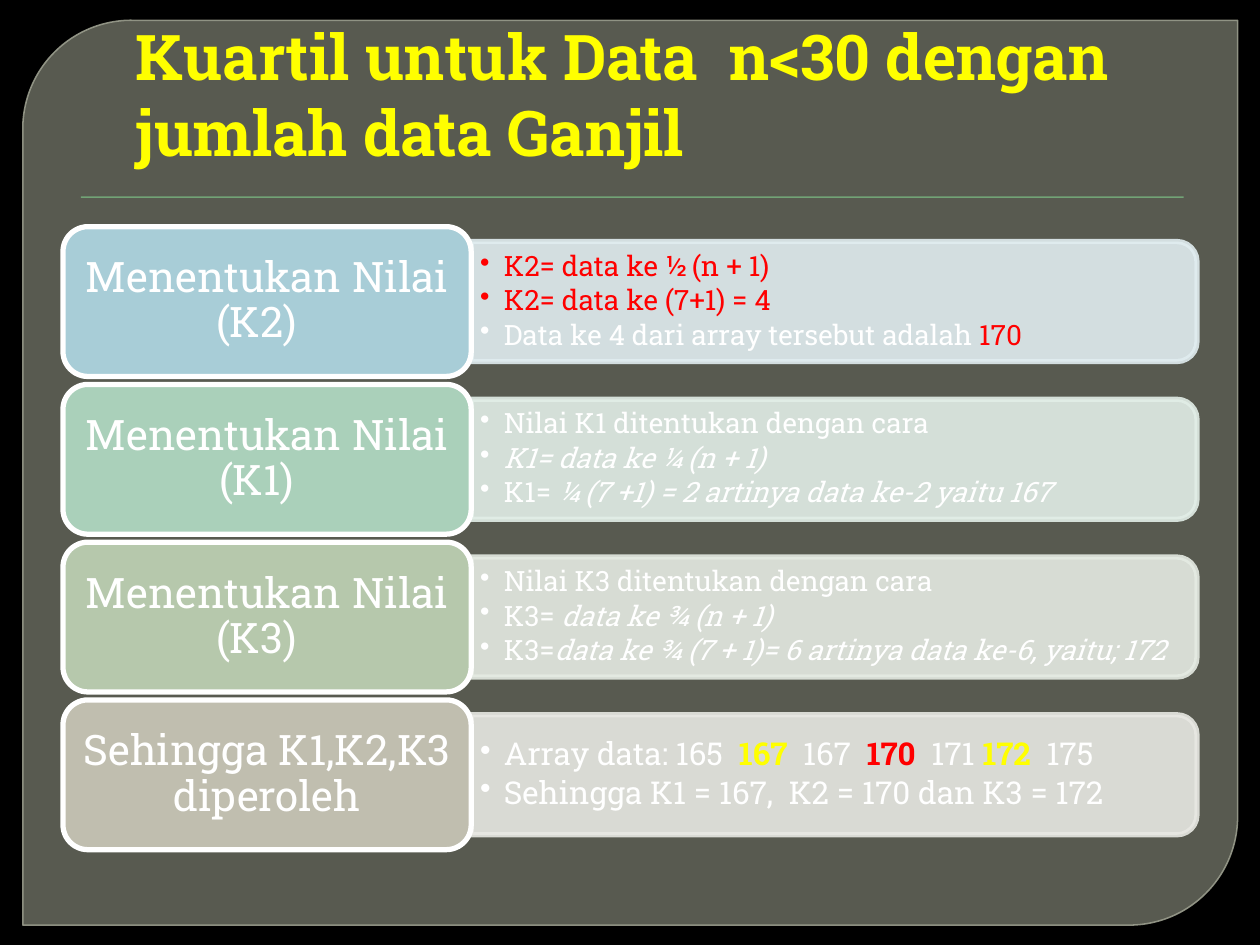
"""Builds a slide on finding quartiles for a small data set with an odd count."""
from dataclasses import dataclass

from lxml import etree
from pptx import Presentation
from pptx import util as u
from pptx.dml.color import RGBColor
from pptx.enum import shapes, text
from pptx.oxml.ns import qn


@dataclass(frozen=True)
class Theme:
    font: str = "Roboto Slab"
    backdrop: str = "000000"
    panel: str = "888B7B"
    panel_edge: str = "9DA090"
    rule: str = "72A376"
    white: str = "FFFFFF"
    yellow: str = "FFFF00"
    red: str = "FF0000"
    title_size: int = 36
    label_size: int = 24


THEME = Theme()
RED = {"color": THEME.red}
ITALIC = {"italic": True}
BOLD_RED = {"color": THEME.red, "bold": True}
BOLD_YELLOW = {"color": THEME.yellow, "bold": True}

HEADING = "Kuartil untuk Data  n<30 dengan jumlah data Ganjil"
STEPS = [
    ("Menentukan Nilai (K2)  ", "A8CDD7", "E1EDF0", 16, [
        [("K2= data ke ½ (n + 1)", RED)],
        [("K2= data ke (7+1) = 4", RED)],
        [("Data ke 4 dari array tersebut adalah ", {}), ("170", RED)],
    ]),
    ("Menentukan Nilai (K1)  ", "AAD0BA", "E2EEE7", 16, [
        [("Nilai K1 ditentukan dengan cara", {})],
        [("K1= data ke ¼ (n + 1)", ITALIC)],
        [("K1= ", {}), ("¼ (7 +1) = 2 artinya data ke-2 yaitu 167", ITALIC)],
    ]),
    ("Menentukan Nilai (K3)  ", "B6C8AC", "E5EBE3", 16, [
        [("Nilai K3 ditentukan dengan cara", {})],
        [("K3= ", {}), ("data ke ¾ (n + 1)", ITALIC)],
        [("K3=", {}), ("data ke ¾ (7 + 1)= 6 artinya data ke-6, yaitu; 172", ITALIC)],
    ]),
    ("Sehingga K1,K2,K3 diperoleh", "C0BEAF", "E8E8E3", 18, [
        [("Array data: 165  ", {}), ("167", BOLD_YELLOW), ("  167  ", {}),
         ("170", BOLD_RED), ("  171 ", {}), ("172", BOLD_YELLOW), ("  175", {})],
        [("Sehingga K1 = 167,  K2 = 170 dan K3 = 172", {})],
    ]),
]

LEFT, TOP, PITCH = 1.27, 4.57, 3.18
LABEL_W, LABEL_H = 8.23, 3.02
DETAIL_W, DETAIL_H = 14.63, 2.42
NOTES_W, NOTES_H = 14.5, 2.18


def box(left, top, width, height):
    return u.Cm(left), u.Cm(top), u.Cm(width), u.Cm(height)


def add_panel(slide, kind, place, fill, edge=None, weight=3, opacity=()):
    panel = slide.shapes.add_shape(kind, *place)
    panel.shadow.inherit = False
    panel.fill.solid()
    panel.fill.fore_color.rgb = RGBColor.from_string(fill)
    if edge:
        panel.line.color.rgb = RGBColor.from_string(edge)
        panel.line.width = u.Pt(weight)
    else:
        panel.line.fill.background()
    tints = panel.element.spPr.iter(qn("a:srgbClr"))
    for tint, percent in zip(list(tints), opacity):
        etree.SubElement(tint, qn("a:alpha"), val=str(percent * 1000))
    return panel


def add_run(paragraph, words, size, color=THEME.white, bold=False, italic=False):
    run = paragraph.add_run()
    run.text = words
    run.font.name = THEME.font
    run.font.size = u.Pt(size)
    run.font.color.rgb = RGBColor.from_string(color)
    run.font.bold = bold
    run.font.italic = italic


def set_frame(frame, anchor, side, edge):
    frame.word_wrap = True
    frame.auto_size = text.MSO_AUTO_SIZE.NONE
    frame.vertical_anchor = anchor
    frame.margin_left = frame.margin_right = u.Cm(side)
    frame.margin_top = frame.margin_bottom = u.Cm(edge)


def add_bullet(paragraph):
    props = paragraph._p.get_or_add_pPr()
    props.set("marL", str(u.Cm(0.48)))
    props.set("indent", str(-u.Cm(0.48)))
    etree.SubElement(props, qn("a:buChar"), char="•")


def add_notes(slide, middle, size, lines):
    place = box(9.5, middle - NOTES_H / 2, NOTES_W, NOTES_H)
    frame = slide.shapes.add_textbox(*place).text_frame
    set_frame(frame, text.MSO_ANCHOR.MIDDLE, 0.18, 0.08)
    for number, line in enumerate(lines):
        paragraph = frame.add_paragraph() if number else frame.paragraphs[0]
        paragraph.line_spacing = 0.9
        paragraph.space_after = u.Pt(round(size * 0.15, 1))
        add_bullet(paragraph)
        for words, style in line:
            add_run(paragraph, words, size, **style)


def add_step(slide, row, label, label_fill, detail_fill, size, lines):
    top = TOP + row * PITCH
    middle = top + LABEL_H / 2
    center = LEFT + LABEL_W + DETAIL_W / 2
    detail_place = box(center - DETAIL_H / 2, middle - DETAIL_W / 2, DETAIL_H, DETAIL_W)
    detail = add_panel(slide, shapes.MSO_SHAPE.ROUND_2_SAME_RECTANGLE, detail_place,
                       detail_fill, detail_fill, opacity=(90, 90))
    detail.rotation = 90
    add_notes(slide, middle, size, lines)
    step = add_panel(slide, shapes.MSO_SHAPE.ROUNDED_RECTANGLE,
                     box(LEFT, top, LABEL_W, LABEL_H), label_fill, THEME.white)
    set_frame(step.text_frame, text.MSO_ANCHOR.MIDDLE, 0.22, 0.13)
    paragraph = step.text_frame.paragraphs[0]
    paragraph.alignment = text.PP_ALIGN.CENTER
    paragraph.line_spacing = 0.9
    add_run(paragraph, label, THEME.label_size)


def add_heading(slide):
    heading = slide.shapes.title
    heading.element.getparent().append(heading.element)
    heading.left, heading.top, heading.width, heading.height = box(2.34, 1.27, 22.86, 2.26)
    set_frame(heading.text_frame, text.MSO_ANCHOR.BOTTOM, 0.25, 0.13)
    paragraph = heading.text_frame.paragraphs[0]
    paragraph.alignment = text.PP_ALIGN.LEFT
    paragraph._p.get_or_add_pPr().set("marL", str(u.Cm(0.15)))
    add_run(paragraph, HEADING, THEME.title_size, THEME.yellow, bold=True)


def main():
    deck = Presentation()
    deck.slide_width, deck.slide_height = u.Cm(25.4), u.Cm(19.05)
    slide = deck.slides.add_slide(deck.slide_layouts[5])
    slide.background.fill.solid()
    slide.background.fill.fore_color.rgb = RGBColor.from_string(THEME.backdrop)
    board = add_panel(slide, shapes.MSO_SHAPE.ROUND_2_DIAG_RECTANGLE,
                      box(0.46, 0.41, 24.49, 18.24), THEME.panel, THEME.panel_edge,
                      0.87, (65, 88))
    board.adjustments[0], board.adjustments[1] = 0.12, 0
    add_panel(slide, shapes.MSO_SHAPE.RECTANGLE, box(1.63, 3.96, 22.23, 0.03), THEME.rule)
    add_heading(slide)
    for row, step in enumerate(STEPS):
        add_step(slide, row, *step)
    deck.save("out.pptx")


main()
